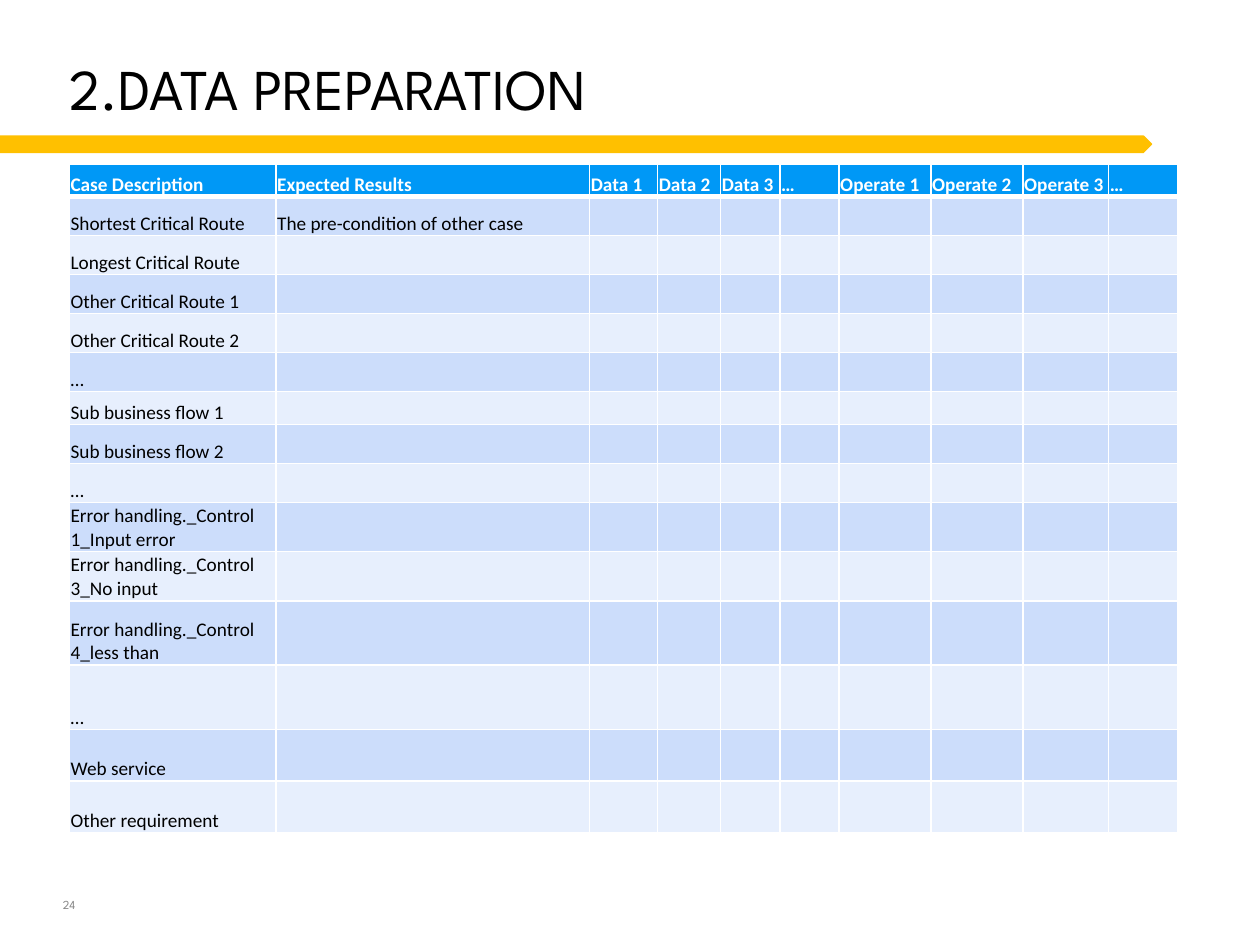
from dataclasses import dataclass
from lxml import etree
from pptx import Presentation
from pptx.dml.color import RGBColor
from pptx.enum.shapes import MSO_SHAPE
from pptx.enum.text import MSO_ANCHOR, PP_ALIGN
from pptx.oxml.ns import qn
from pptx.util import Inches, Pt

ARROW = MSO_SHAPE.PENTAGON
TOP, MIDDLE, BOTTOM = MSO_ANCHOR.TOP, MSO_ANCHOR.MIDDLE, MSO_ANCHOR.BOTTOM
LEFT = PP_ALIGN.LEFT


@dataclass(frozen=True)
class Theme:
    """Colours, fonts and type sizes of the slide."""
    ink: str = "000000"
    white: str = "FFFFFF"
    gray: str = "878787"
    gold: str = "FFC000"
    head: str = "0098F6"
    odd: str = "CCDDFB"
    even: str = "E7EFFD"
    display: str = "League Spartan"
    body: str = "Calibri"
    title: int = 33
    cell: int = 11
    page: int = 7


THEME = Theme()
HEADS = ["Case Description", "Expected Results", "Data 1", "Data 2", "Data 3",
         "…", "Operate 1", "Operate 2", "Operate 3", "…"]
CASES = [
    ("Shortest Critical Route", 0.31), ("Longest Critical Route", 0.31),
    ("Other Critical Route 1", 0.31), ("Other Critical Route 2", 0.31),
    ("…", 0.31), ("Sub business flow 1", 0.26),
    ("Sub business flow 2", 0.31), ("…", 0.31),
    ("Error handling._Control 1_Input error", 0.39),
    ("Error handling._Control 3_No input", 0.39),
    ("Error handling._Control 4_less than", 0.51), ("…", 0.51),
    ("Web service", 0.41), ("Other requirement", 0.41),
]
WIDTHS = [1.64, 2.49, 0.54, 0.5, 0.47, 0.47, 0.73, 0.73, 0.68, 0.55]
HEAD_TALL = 0.26
RESULT = "The pre-condition of other case"


def place(shape, box):
    """Move a shape to a box given in inches."""
    shape.left, shape.top, shape.width, shape.height = map(Inches, box)


def set_frame(frame, anchor, left=0.0, top=0.0):
    """Set the anchor, wrap and insets of a text frame."""
    frame.word_wrap = True
    frame.vertical_anchor = anchor
    frame.margin_left, frame.margin_top = Inches(left), Inches(top)
    frame.margin_right = frame.margin_bottom = 0


def add_run(para, text, font, size, color, bold=False):
    """Add one formatted run to a paragraph."""
    run = para.add_run()
    run.text = text
    run.font.name, run.font.size, run.font.bold = font, Pt(size), bold
    run.font.color.rgb = RGBColor.from_string(color)


def add_title(slide, box):
    """Fill the title placeholder."""
    title = slide.shapes.title
    place(title, box)
    set_frame(title.text_frame, TOP, 0.18, 0.05)
    para = title.text_frame.paragraphs[0]
    para.alignment, para.line_spacing = LEFT, Pt(THEME.title)
    add_run(para, "2.DATA PREPARATION", THEME.display, THEME.title, THEME.ink)


def add_bar(slide, box):
    """Draw the gold arrow below the title."""
    bar = slide.shapes.add_shape(ARROW, *map(Inches, box))
    bar.shadow.inherit = False
    bar.adjustments[0] = 0.5
    gold = RGBColor.from_string(THEME.gold)
    bar.fill.solid()
    bar.fill.fore_color.rgb = bar.line.color.rgb = gold
    bar.line.width = Pt(0.75)


def add_edges(cell, base):
    """Draw white borders, with a base line of the given points."""
    props = cell._tc.get_or_add_tcPr()
    for side, width in (("L", 1), ("R", 1), ("T", 1), ("B", base)):
        line = etree.SubElement(props, qn(f"a:ln{side}"), w=str(Pt(width)))
        fill = etree.SubElement(line, qn("a:solidFill"))
        etree.SubElement(fill, qn("a:srgbClr"), val=THEME.white)


def fill_cell(cell, text, fill, color, bold):
    """Format one cell and write its text."""
    cell.vertical_anchor = BOTTOM
    cell.margin_left = cell.margin_right = cell.margin_top = Inches(0.01)
    cell.margin_bottom = 0
    add_edges(cell, 3 if bold else 1)
    cell.fill.solid()
    cell.fill.fore_color.rgb = RGBColor.from_string(fill)
    para = cell.text_frame.paragraphs[0]
    if text:
        add_run(para, text, THEME.body, THEME.cell, color, bold)
    else:
        etree.SubElement(para._p, qn("a:endParaRPr"), sz=str(THEME.cell * 100))


def add_grid(slide, box):
    """Build the table of test cases."""
    rows = [HEADS] + [[name] + [""] * (len(HEADS) - 1) for name, _ in CASES]
    rows[1][1] = RESULT
    talls = [HEAD_TALL] + [tall for _, tall in CASES]
    table = slide.shapes.add_table(
        len(rows), len(HEADS), *map(Inches, box)).table
    for col, width in zip(table.columns, WIDTHS):
        col.width = Inches(width)
    for i, (texts, tall) in enumerate(zip(rows, talls)):
        table.rows[i].height = Inches(tall)
        head = i == 0
        fill = THEME.head if head else THEME.odd if i % 2 else THEME.even
        color = THEME.white if head else THEME.ink
        for cell, text in zip(table.rows[i].cells, texts):
            fill_cell(cell, text, fill, color, head)


def add_page(slide, box):
    """Write the page number."""
    frame = slide.shapes.add_textbox(*map(Inches, box)).text_frame
    set_frame(frame, MIDDLE, 0.1)
    add_run(frame.paragraphs[0], "24", THEME.display, THEME.page, THEME.gray)


def main():
    """Build and save the slide."""
    deck = Presentation()
    deck.slide_width, deck.slide_height = Inches(10), Inches(7.5)
    slide = deck.slides.add_slide(deck.slide_layouts[5])
    add_page(slide, (0.4, 7.07, 0.42, 0.22))
    add_title(slide, (0.37, 0.46, 9.16, 0.48))
    add_bar(slide, (0, 1.08, 9.14, 0.13))
    add_grid(slide, (0.55, 1.3, 8.79, 5.31))
    deck.save("out.pptx")


if __name__ == "__main__":
    main()
